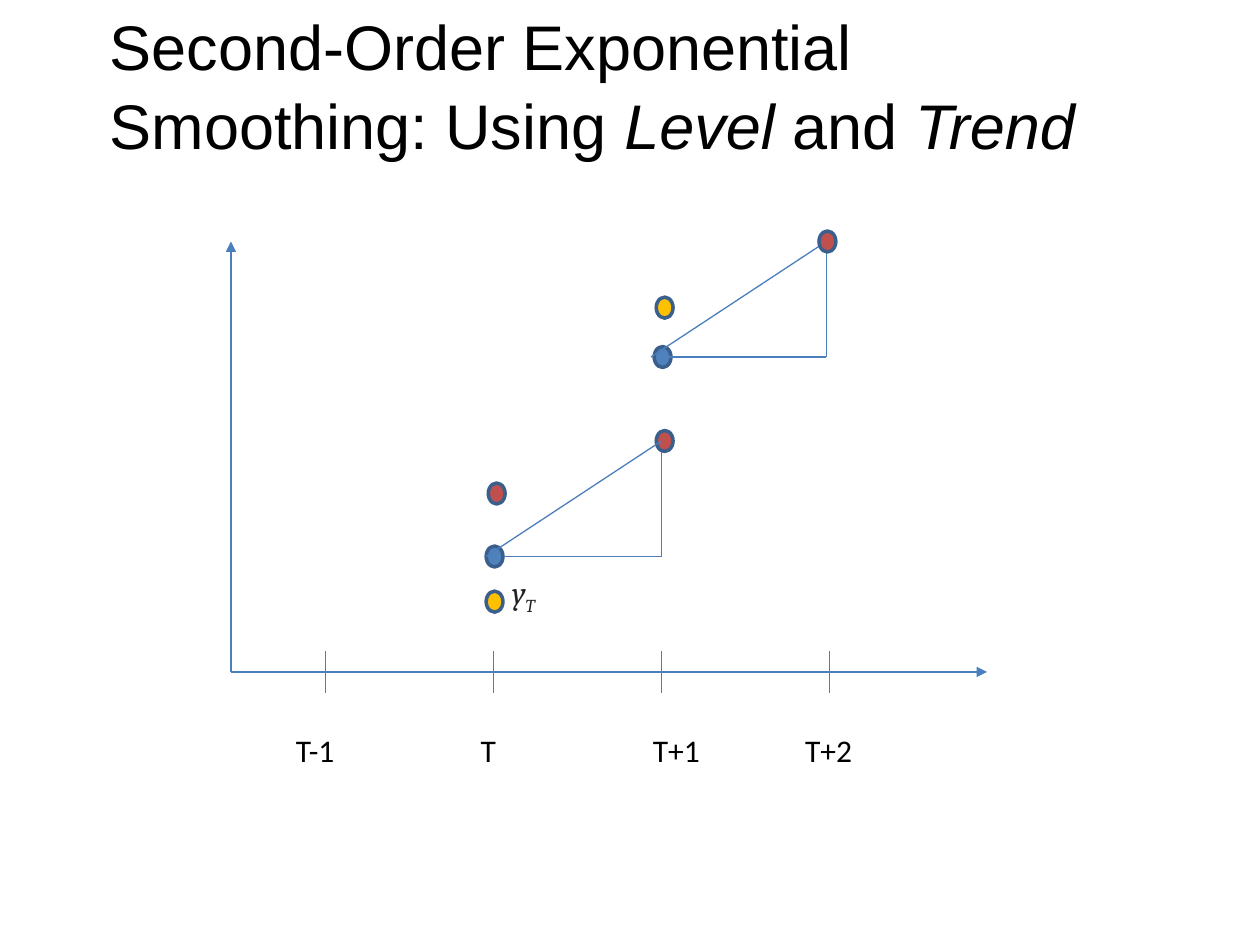
from typing import NamedTuple

from lxml.etree import SubElement
from pptx import Presentation
from pptx.dml.color import RGBColor
from pptx.enum.shapes import MSO_CONNECTOR, MSO_SHAPE
from pptx.enum.text import MSO_ANCHOR
from pptx.oxml.ns import qn
from pptx.util import Inches, Pt

BLACK = RGBColor(0x00, 0x00, 0x00)
INK = RGBColor(0x22, 0x22, 0x22)
LINE = RGBColor(0x4B, 0x7E, 0xBC)
EDGE = RGBColor(0x3A, 0x5F, 0x8C)
BLUE = RGBColor(0x4F, 0x81, 0xBD)
RED = RGBColor(0xC0, 0x50, 0x4D)
GOLD = RGBColor(0xFF, 0xC0, 0x00)

COLS, ROWS = 120, 90  # square cells, twelve to the inch
CELL = Inches(10) // COLS
DOT_W, DOT_H = 1.6, 2
AXIS_X, AXIS_Y = 22, 64
TICKS = [31 + 16 * step for step in range(4)]


class Dot(NamedTuple):
    col: float
    row: float
    fill: RGBColor


class Line(NamedTuple):
    x1: float
    y1: float
    x2: float
    y2: float
    arrow: bool = False


class Label(NamedTuple):
    col: float
    row: float
    width: float
    runs: list[str]
    font: str = "Calibri"
    color: RGBColor = BLACK


AXES = [
    Line(AXIS_X, AXIS_Y, 94, AXIS_Y, True),
    Line(AXIS_X, AXIS_Y, AXIS_X, 23, True),
]
MARKS = [Line(x, 62, x, 66) for x in TICKS]
LABELS = [
    Label(27, 69, 6.4, ["T-1"]),
    Label(44.6, 69, 3.8, ["T"]),
    Label(61, 69, 7, ["T+1"]),
    Label(75.5, 69, 7, ["T+2"]),
]
SYMBOL = Label(47.6, 54, 4.8, ["y", "T"], "Cambria", INK)
# Each item is drawn over the ones before it.
PLOT = [
    Dot(46.3, 52, BLUE),
    Line(48, 53, 63, 53),
    Line(63, 53, 63, 42),
    Dot(62.5, 41, RED),
    Line(46.3, 53, 63, 42),
    Dot(62.5, 28.3, GOLD),
    Dot(62.3, 33, BLUE),
    Line(62, 34, 78.7, 23),
    Line(63.7, 34, 78.7, 34),
    Line(78.7, 34, 78.7, 23),
    Dot(78, 22, RED),
    Dot(46.3, 56.3, GOLD),
    Dot(46.5, 46, RED),
]


def cells(*spans: float) -> list[int]:
    """Turn grid spans into lengths."""
    return [round(span * CELL) for span in spans]


def draw_line(shapes, line: Line) -> None:
    ends = cells(line.x1, line.y1, line.x2, line.y2)
    link = shapes.add_connector(MSO_CONNECTOR.STRAIGHT, *ends)
    link.line.color.rgb = LINE
    link.line.width = Pt(0.75)
    if line.arrow:
        SubElement(link.line._get_or_add_ln(), qn("a:tailEnd"), type="triangle")
    SubElement(link._element.spPr, qn("a:effectLst"))


def draw_dot(shapes, dot: Dot) -> None:
    place = cells(dot.col, dot.row, DOT_W, DOT_H)
    oval = shapes.add_shape(MSO_SHAPE.OVAL, *place)
    oval.shadow.inherit = False
    oval.fill.solid()
    oval.fill.fore_color.rgb = dot.fill
    oval.line.color.rgb = EDGE
    oval.line.width = Pt(2)


def add_runs(para, texts: list[str], font: str, size: float, color: RGBColor) -> list:
    runs = []
    for text in texts:
        run = para.add_run()
        run.text = text
        run.font.name = font
        run.font.size = Pt(size)
        run.font.color.rgb = color
        runs.append(run)
    return runs


def draw_label(shapes, label: Label) -> list:
    box = shapes.add_textbox(*cells(label.col, label.row, label.width, 4.8))
    box.text_frame.word_wrap = False
    para = box.text_frame.paragraphs[0]
    return add_runs(para, label.runs, label.font, 18, label.color)


def draw_symbol(shapes, label: Label) -> None:
    """Draw an italic letter with a subscript."""
    runs = draw_label(shapes, label)
    for run in runs:
        run.font.italic = True
    runs[-1].font._element.set("baseline", "-25000")


def draw_title(shapes) -> None:
    box = shapes.add_textbox(*cells(10.44, 0.36, 99.1, 14.5))
    frame = box.text_frame
    frame.word_wrap = True
    frame.vertical_anchor = MSO_ANCHOR.TOP
    frame.margin_left = frame.margin_right = 0
    frame.margin_top = frame.margin_bottom = 0
    para = frame.paragraphs[0]
    para.line_spacing = 1.05
    texts = ["Second-Order Exponential Smoothing: Using ", "Level", " and ", "Trend"]
    for run in add_runs(para, texts, "Arial", 36, BLACK)[1::2]:
        run.font.italic = True


def main() -> None:
    deck = Presentation()
    deck.slide_width, deck.slide_height = cells(COLS, ROWS)
    shapes = deck.slides.add_slide(deck.slide_layouts[6]).shapes
    draw_title(shapes)
    for line in AXES + MARKS:
        draw_line(shapes, line)
    for label in LABELS:
        draw_label(shapes, label)
    for item in PLOT:
        if isinstance(item, Dot):
            draw_dot(shapes, item)
        else:
            draw_line(shapes, item)
    draw_symbol(shapes, SYMBOL)
    deck.save("out.pptx")


if __name__ == "__main__":
    main()
